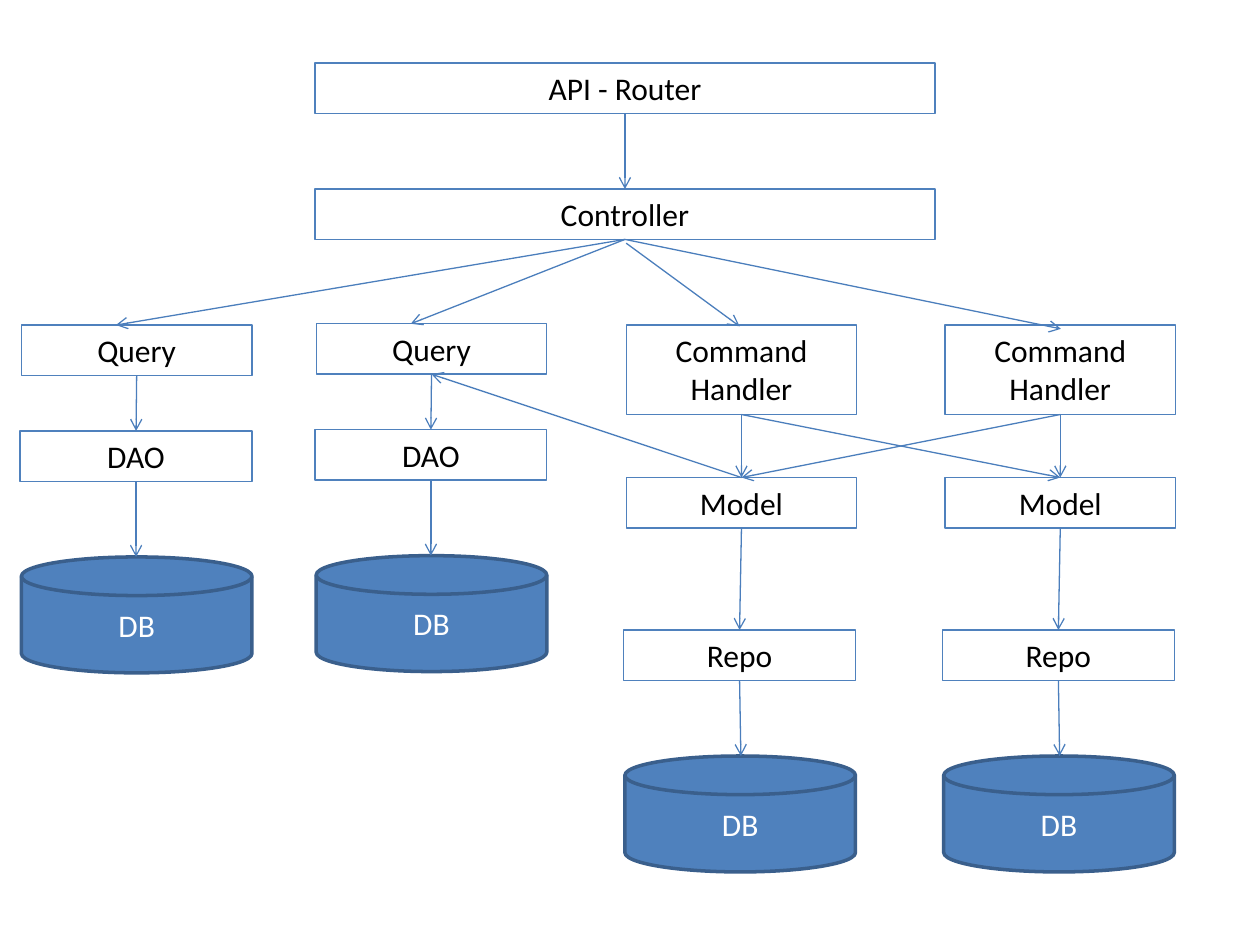
"""Draw the layers of an API that splits queries from commands."""
from lxml.etree import SubElement
from pptx import Presentation
from pptx.dml.color import RGBColor
from pptx.enum.shapes import MSO_CONNECTOR, MSO_SHAPE
from pptx.enum.text import MSO_ANCHOR, MSO_AUTO_SIZE, PP_ALIGN
from pptx.oxml.ns import qn
from pptx.util import Inches, Pt

deck = Presentation()
deck.slide_width, deck.slide_height = Inches(10), Inches(7.5)
slide = deck.slides.add_slide(deck.slide_layouts[6])
hue = RGBColor.from_string


def box(text, x, y, w=1.83, h=0.4, disk=False):
    kind = MSO_SHAPE.FLOWCHART_MAGNETIC_DISK if disk else MSO_SHAPE.RECTANGLE
    shape = slide.shapes.add_shape(kind, Inches(x), Inches(y), Inches(w), Inches(h))
    shape.shadow.inherit = False
    shape.line.color.rgb = hue("3A5F8C" if disk else "4F81BD")
    shape.line.width = Pt(2 if disk else 0.75)
    frame = shape.text_frame
    frame.word_wrap = True
    if disk:
        shape.fill.solid()
        shape.fill.fore_color.rgb = hue("4F81BD")
        frame.vertical_anchor = MSO_ANCHOR.MIDDLE
    else:
        shape.fill.background()
        frame.vertical_anchor = MSO_ANCHOR.TOP
        frame.auto_size = MSO_AUTO_SIZE.SHAPE_TO_FIT_TEXT
    para = frame.paragraphs[0]
    para.alignment = PP_ALIGN.CENTER
    run = para.add_run()
    run.text = text
    run.font.name, run.font.size = "Calibri", Pt(18)
    run.font.color.rgb = hue("FFFFFF" if disk else "000000")
    return shape


def link(start, end, out=2, into=0):
    ends = [Inches(n) for p in (start, end) for n in (p if isinstance(p, tuple) else (0, 0))]
    line = slide.shapes.add_connector(MSO_CONNECTOR.STRAIGHT, *ends)
    if not isinstance(start, tuple):
        line.begin_connect(start, out)
    if not isinstance(end, tuple):
        line.end_connect(end, into)
    line.line.color.rgb = hue("4B7EBC")
    line.line.width = Pt(0.75)
    props = line._element.spPr
    SubElement(props.get_or_add_ln(), qn("a:tailEnd"), type="arrow")
    SubElement(props, qn("a:effectLst"))


router = box("API - Router", 2.5, 0.5, w=4.92)
control = box("Controller", 2.5, 1.5, w=4.92)
link(router, control)

asks = []
for x, y in ((0.17, 2.58), (2.51, 2.57)):
    ask = box("Query", x, y)
    dao = box("DAO", x - 0.01, y + 0.84, w=1.84)
    box("DB", x, y + 1.84, h=0.92, disk=True)
    link(ask, dao)
    link(dao, (x + 0.91, y + 1.84))
    asks.append(ask)

hands, models = [], []
for x in (4.97, 7.5):
    hand = box("Command Handler", x, 2.58, h=0.71)
    model = box("Model", x, 3.79)
    repo = box("Repo", x - 0.02, 5, w=1.84)
    box("DB", x - 0.01, 6, h=0.92, disk=True)
    link(hand, model)
    link(model, repo)
    link(repo, (x + 0.91, 6))
    hands.append(hand)
    models.append(model)

for end in ((0.92, 2.58), (3.26, 2.57), (8.42, 2.61)):
    link(control, end)
link((4.97, 1.93), (5.87, 2.59))
link(hands[0], models[1])
link(hands[1], models[0])
link(models[0], asks[1], out=0, into=2)

deck.save("out.pptx")
